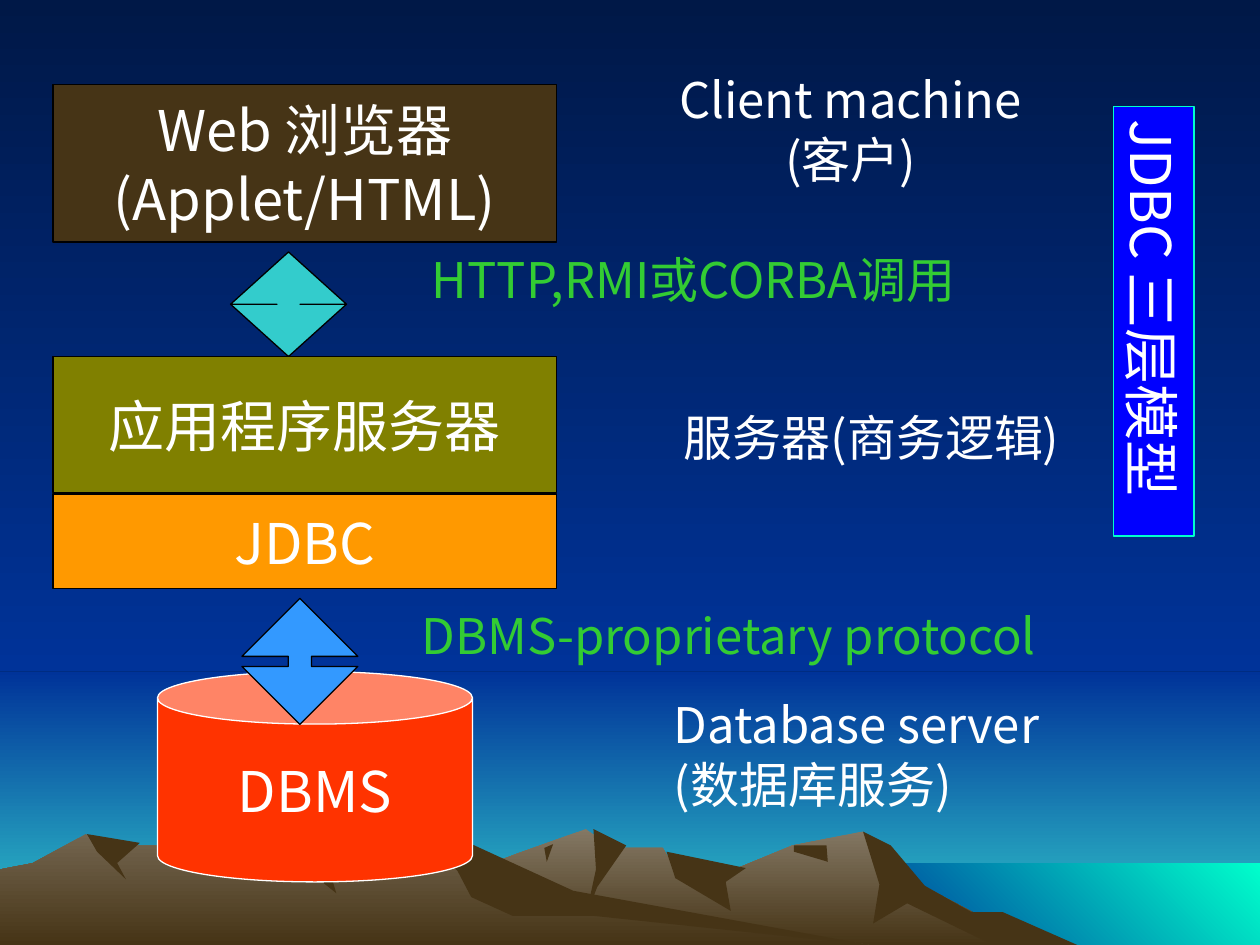
from pptx import Presentation
from pptx.dml.color import RGBColor
from pptx.enum.shapes import MSO_SHAPE
from pptx.enum.text import MSO_ANCHOR, MSO_AUTO_SIZE, PP_ALIGN
from pptx.oxml import parse_xml
from pptx.oxml.ns import nsdecls
from pptx.util import Inches, Pt

FONT = "Noto Sans CJK SC"
WHITE = RGBColor.from_string("FFFFFF")
BLACK = RGBColor.from_string("000000")
NIGHT = RGBColor.from_string("001847")
NAVY = RGBColor.from_string("003399")
TEAL = RGBColor.from_string("33CCCC")
AQUA = RGBColor.from_string("00FFCC")
BROWN = RGBColor.from_string("463416")
FAR_ROCK = RGBColor.from_string("847864")
NEAR_ROCK = RGBColor.from_string("73654F")
GREEN = RGBColor.from_string("33CC33")
RED = RGBColor.from_string("FF3300")
BLUE = RGBColor.from_string("3399FF")
ORANGE = RGBColor.from_string("FF9900")
OLIVE = RGBColor.from_string("808000")
TITLE_BLUE = RGBColor.from_string("0000FF")


def write_text(shape, text, size=28, color=WHITE, align=PP_ALIGN.LEFT,
               anchor=MSO_ANCHOR.TOP, wrap=True):
    frame = shape.text_frame
    frame.text = text
    frame.auto_size = MSO_AUTO_SIZE.NONE
    frame.word_wrap = wrap
    frame.vertical_anchor = anchor
    frame.margin_left = frame.margin_right = Inches(0.1)
    frame.margin_top = frame.margin_bottom = Inches(0.05)
    for para in frame.paragraphs:
        para.alignment = align
        para.line_spacing = Pt(round(size * 1.22))
        for span in para.runs:
            span.font.name = FONT
            span.font.size = Pt(size)
            span.font.color.rgb = color
            span.font._element.append(
                parse_xml(f'<a:ea {nsdecls("a")} typeface="{FONT}"/>'))


def fill_gradient(fill, start, end, angle=270):
    """Blend two colours; the angle runs counter-clockwise, 270 is downward."""
    fill.gradient()
    fill.gradient_angle = angle
    for position, (stop, color) in enumerate(zip(fill.gradient_stops, (start, end))):
        stop.color.rgb = color
        stop.position = position


deck = Presentation()
deck.slide_width, deck.slide_height = Inches(10), Inches(7.5)
page = deck.slides.add_slide(deck.slide_layouts[5])
fill_gradient(page.background.fill, NIGHT, NAVY)

# Horizon and sea reach the bottom right corner of the page
horizon = Inches(5.33)
for left, top, start, end, angle in [
    (Inches(0), horizon, NAVY, TEAL, 270),
    (Inches(6.83), Inches(6.85), NAVY, AQUA, 45),
]:
    band = page.shapes.add_shape(MSO_SHAPE.RECTANGLE, left, top,
                                 deck.slide_width - left, deck.slide_height - top)
    band.shadow.inherit = False
    band.line.fill.background()
    fill_gradient(band.fill, start, end, angle)
fill_gradient(page.background.fill, NIGHT, NAVY)
sky = page.shapes.add_shape(MSO_SHAPE.RECTANGLE, 0, 0, deck.slide_width, horizon)
sky.shadow.inherit = False
sky.line.fill.background()
fill_gradient(sky.fill, NIGHT, NAVY)

# Mountains: a ridge blends from its lit colour, a shaded face is plain brown
mountains = [
    (FAR_ROCK, [(2.58, 7.5), (3.27, 7.09), (4.12, 6.77), (4.65, 6.58),
                (4.86, 6.73), (5.26, 6.73), (5.36, 6.9), (5.66, 6.97),
                (6.29, 6.71), (6.85, 6.6), (7.23, 6.98), (8.21, 7.5)]),
    (BROWN, [(6.85, 6.6), (7.07, 6.71), (7.34, 7.03), (7.71, 7.24), (7.96, 7.24),
             (8.55, 7.5), (7.88, 7.5), (7.2, 7.17), (6.93, 7.33), (6.98, 7.02)]),
    (BROWN, [(4.71, 6.58), (4.97, 6.71), (4.74, 7.04), (4.65, 7.27), (4.73, 6.9)]),
    (BROWN, [(5.29, 6.76), (5.92, 6.89), (5.76, 7), (5.8, 7.23), (5.36, 6.97)]),
    (BROWN, [(6.3, 6.71), (6.56, 6.71), (6.57, 6.84), (6.3, 6.76)]),
    (BROWN, [(4.32, 6.73), (4.39, 6.7), (4.34, 6.84)]),
    (NEAR_ROCK, [(0, 7.5), (0, 6.9), (0.26, 6.85), (0.68, 6.62), (0.94, 6.71),
                 (1.6, 6.71), (3.54, 6.65), (4.32, 7.12), (6.9, 7.5)]),
    (BROWN, [(2.41, 6.88), (2.61, 6.89), (2.67, 7.09)]),
    (BROWN, [(3.39, 6.69), (3.7, 6.68), (4.55, 7.07), (6.9, 7.5),
             (4.72, 7.27), (4.07, 7.27), (3.74, 7.12), (3.63, 6.91)]),
    (BROWN, [(0.69, 6.62), (1.11, 6.69), (0.93, 6.85), (1, 6.98), (0.77, 6.76)]),
]
for rock_color, outline in mountains:
    points = [(Inches(x), Inches(y)) for x, y in outline]
    builder = page.shapes.build_freeform(*points[0])
    builder.add_line_segments(points[1:], close=True)
    rock = builder.convert_to_shape()
    rock.shadow.inherit = False
    rock.line.fill.background()
    if rock_color == BROWN:
        rock.fill.solid()
        rock.fill.fore_color.rgb = BROWN
    else:
        fill_gradient(rock.fill, rock_color, BROWN)

# Tiers on the left and the arrows between them
BOX, ARROW = MSO_SHAPE.RECTANGLE, MSO_SHAPE.UP_DOWN_ARROW
for kind, left, top, width, height, color, text in [
    (MSO_SHAPE.CAN, 1.25, 5.33, 2.5, 1.67, RED, "DBMS"),
    (ARROW, 1.92, 4.75, 0.92, 1, BLUE, ""),
    (BOX, 0.42, 3.92, 4, 0.75, ORANGE, "JDBC"),
    (BOX, 0.42, 2.83, 4, 1.08, OLIVE, "应用程序服务器"),
    (ARROW, 1.83, 2, 0.92, 0.83, TEAL, ""),
    (BOX, 0.42, 0.67, 4, 1.25, BROWN, "Web 浏览器\n(Applet/HTML)"),
]:
    tier = page.shapes.add_shape(kind, Inches(left), Inches(top),
                                 Inches(width), Inches(height))
    tier.shadow.inherit = False
    tier.fill.solid()
    tier.fill.fore_color.rgb = color
    tier.line.color.rgb = WHITE if kind == MSO_SHAPE.CAN else BLACK
    tier.line.width = Pt(0.75)
    if kind == ARROW:
        tier.adjustments[1] = 0.2
    else:
        write_text(tier, text, size=32, align=PP_ALIGN.CENTER,
                   anchor=MSO_ANCHOR.MIDDLE, wrap=False)

# Machine labels in white, protocol labels in green
for left, top, width, text, color, align in [
    (5, 0.5, 3.5, "Client machine\n(客户)", WHITE, PP_ALIGN.CENTER),
    (3.33, 1.93, 5.33, "HTTP,RMI或CORBA调用", GREEN, PP_ALIGN.LEFT),
    (5.33, 3.18, 3.25, "服务器(商务逻辑)", WHITE, PP_ALIGN.LEFT),
    (3.25, 4.75, 5.33, "DBMS-proprietary protocol", GREEN, PP_ALIGN.LEFT),
    (5.25, 5.46, 3.25, "Database server\n(数据库服务)", WHITE, PP_ALIGN.LEFT),
]:
    height = 0.57 if color == GREEN else 1.04
    label = page.shapes.add_textbox(Inches(left), Inches(top),
                                    Inches(width), Inches(height))
    write_text(label, text, color=color, align=align)

# Title turned to run down the right edge, in front of the scenery
title = page.shapes.title
title.left, title.top = Inches(7.45), Inches(2.23)
title.width, title.height = Inches(3.41), Inches(0.64)
title.rotation = 90
title.fill.solid()
title.fill.fore_color.rgb = TITLE_BLUE
title.line.color.rgb = AQUA
title.line.width = Pt(0.75)
write_text(title, "JDBC 三层模型", size=32, anchor=MSO_ANCHOR.MIDDLE)
title.element.getparent().append(title.element)

deck.save("out.pptx")
